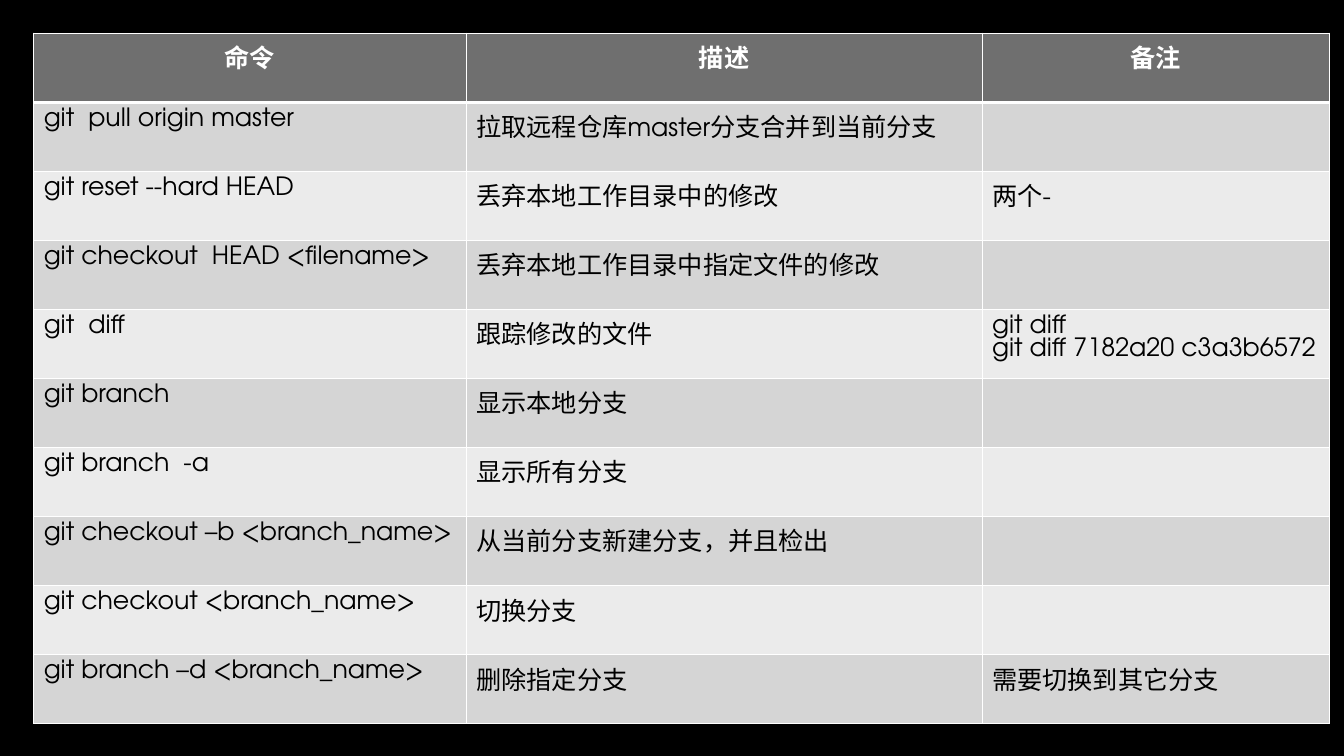
from dataclasses import dataclass

from lxml import etree
from pptx import Presentation
from pptx.dml.color import RGBColor
from pptx.enum import text
from pptx.oxml import ns
from pptx.util import Cm, Pt

FONT = "TeX Gyre Adventor"
COLORS = {
    "background": "000000",
    "header": "6F6F6F",
    "odd_row": "D5D5D5",
    "even_row": "EBEBEB",
    "border": "FFFFFF",
    "header_text": "FFFFFF",
    "body_text": "000000",
}
COLUMN_WIDTHS = (10.9, 13.0, 8.76)
ROW_HEIGHT = 1.74
THIN, THICK = 1, 3


@dataclass
class Command:
    syntax: str
    description: str
    note: str = ""


HEADER = Command("命令", "描述", "备注")
COMMANDS = [
    Command("git  pull origin master", "拉取远程仓库master分支合并到当前分支"),
    Command("git reset --hard HEAD", "丢弃本地工作目录中的修改", "两个-"),
    Command("git checkout  HEAD <filename>", "丢弃本地工作目录中指定文件的修改"),
    Command("git  diff", "跟踪修改的文件", "git diff\ngit diff 7182a20 c3a3b6572"),
    Command("git branch", "显示本地分支"),
    Command("git branch  -a", "显示所有分支"),
    Command("git checkout –b <branch_name>", "从当前分支新建分支，并且检出"),
    Command("git checkout <branch_name>", "切换分支"),
    Command("git branch –d <branch_name>", "删除指定分支", "需要切换到其它分支"),
]


def rgb(name: str) -> RGBColor:
    return RGBColor.from_string(COLORS[name])


def set_borders(cell, top: float, bottom: float) -> None:
    """Draw the four cell borders; left and right are always thin."""
    properties = cell._tc.get_or_add_tcPr()
    widths = {"lnL": THIN, "lnR": THIN, "lnT": top, "lnB": bottom}
    for index, (side, width) in enumerate(widths.items()):
        line = etree.Element(ns.qn(f"a:{side}"), w=str(Pt(width)))
        fill = etree.SubElement(line, ns.qn("a:solidFill"))
        etree.SubElement(fill, ns.qn("a:srgbClr"), val=COLORS["border"])
        properties.insert(index, line)


def fill_row(table, row: int, command: Command) -> None:
    is_header = row == 0
    band = "header" if is_header else "odd_row" if row % 2 else "even_row"
    values = (command.syntax, command.description, command.note)
    for column, value in enumerate(values):
        cell = table.cell(row, column)
        cell.fill.solid()
        cell.fill.fore_color.rgb = rgb(band)
        set_borders(cell, THICK if row == 1 else THIN, THICK if is_header else THIN)
        cell.text_frame.text = value
        for paragraph in cell.text_frame.paragraphs:
            if is_header:
                paragraph.alignment = text.PP_ALIGN.CENTER
            for run in paragraph.runs:
                run.font.name = FONT
                run.font.size = Pt(18)
                run.font.bold = is_header
                run.font.color.rgb = rgb("header_text" if is_header else "body_text")


def add_command_table(slide) -> None:
    rows = [HEADER, *COMMANDS]
    table = slide.shapes.add_table(
        len(rows), len(COLUMN_WIDTHS), Cm(0.85), Cm(0.84),
        Cm(sum(COLUMN_WIDTHS)), Cm(ROW_HEIGHT * len(rows)),
    ).table
    for column, width in zip(table.columns, COLUMN_WIDTHS):
        column.width = Cm(width)
    for index, command in enumerate(rows):
        table.rows[index].height = Cm(ROW_HEIGHT)
        fill_row(table, index, command)


def main() -> None:
    presentation = Presentation()
    presentation.slide_width = Cm(33.87)
    presentation.slide_height = Cm(19.05)
    slide = presentation.slides.add_slide(presentation.slide_layouts[6])
    slide.background.fill.solid()
    slide.background.fill.fore_color.rgb = rgb("background")
    add_command_table(slide)
    presentation.save("out.pptx")


if __name__ == "__main__":
    main()
